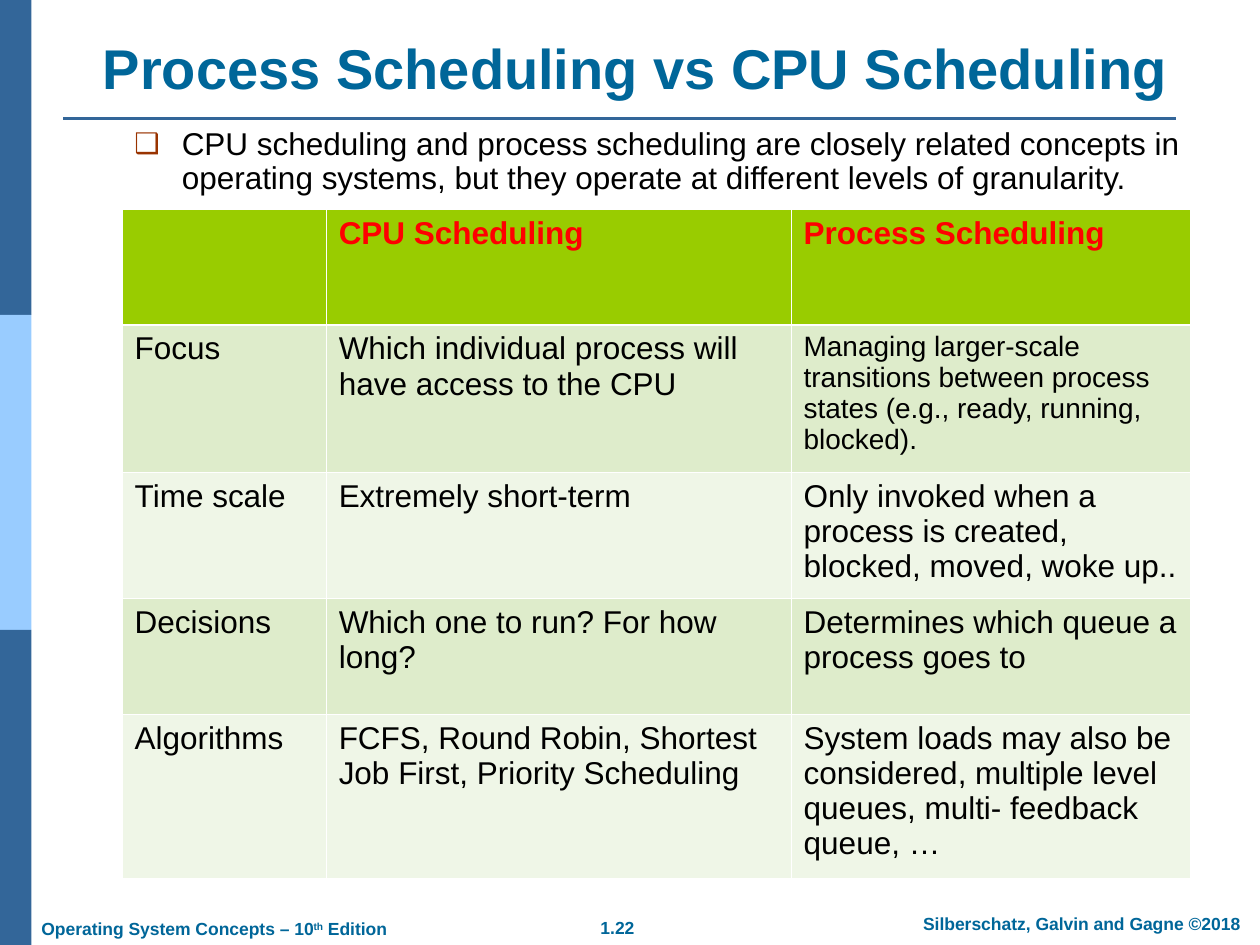
from dataclasses import dataclass

from lxml import etree
from pptx import Presentation
from pptx import util as u
from pptx.dml.color import RGBColor
from pptx.enum import shapes, text
from pptx.oxml import ns


@dataclass(frozen=True)
class Theme:
    font: str = "Arial"
    heading: str = "006699"
    ink: str = "000000"
    bar: str = "336699"
    bar_light: str = "99CCFF"
    bullet: str = "993300"
    header_fill: str = "99CC00"
    header_ink: str = "FF0000"
    bands: tuple = ("DEECCB", "EFF6E7")
    border: str = "FFFFFF"
    title_size: int = 32
    body_size: int = 18
    small_size: int = 16
    footer_size: int = 10
    thin: float = 0.45
    thick: float = 1.47


def rgb(value):
    return RGBColor.from_string(value)


def add_xml(parent, tag, **attributes):
    return etree.SubElement(parent, ns.qn(tag), {k: str(v) for k, v in attributes.items()})


def write(frame, *parts, font, size, color, bold=False, align=None, before=None, spacing=None):
    """Fill the first paragraph, one run for each part."""
    paragraph = frame.paragraphs[0]
    paragraph.alignment = align
    if before is not None:
        paragraph.space_before = u.Pt(before)
    if spacing is not None:
        paragraph.line_spacing = spacing
    for part in parts:
        run = paragraph.add_run()
        run.text = part
        run.font.name, run.font.size, run.font.bold = font, u.Pt(size), bold
        run.font.color.rgb = rgb(color)


class SlideBuilder:
    def __init__(self, slide, theme):
        self.slide, self.theme = slide, theme

    def title(self, words, *box):
        heading = self.slide.shapes.title
        heading.left, heading.top, heading.width, heading.height = map(u.Pt, box)
        frame = heading.text_frame
        frame.auto_size = text.MSO_AUTO_SIZE.NONE
        frame.vertical_anchor = text.MSO_ANCHOR.BOTTOM
        write(frame, words, font=self.theme.font, size=self.theme.title_size,
              color=self.theme.heading, bold=True, align=text.PP_ALIGN.CENTER)

    def bar(self, color, *box):
        bar = self.slide.shapes.add_shape(shapes.MSO_SHAPE.RECTANGLE, *map(u.Pt, box))
        bar.shadow.inherit = False
        bar.fill.solid()
        bar.fill.fore_color.rgb = rgb(color)
        bar.line.fill.background()

    def rule(self, left, right, y):
        rule = self.slide.shapes.add_connector(
            shapes.MSO_CONNECTOR.STRAIGHT, *map(u.Pt, (left, y, right, y)))
        rule.line.color.rgb = rgb(self.theme.bar)
        rule.line.width = u.Pt(1.5)
        add_xml(rule.element.spPr, "a:effectLst")

    def text_box(self, box, *parts, wrap=True, **style):
        shape = self.slide.shapes.add_textbox(*map(u.Pt, box))
        shape.text_frame.word_wrap = wrap
        write(shape.text_frame, *parts, font=self.theme.font, **style)
        return shape

    def footer(self, box, *parts, wrap=False, align=None):
        """Put a footer; its second part, if any, is superscript."""
        shape = self.text_box(box, *parts, wrap=wrap, align=align, before=6.2, bold=True,
                              size=self.theme.footer_size, color=self.theme.heading)
        shape.text_frame.auto_size = text.MSO_AUTO_SIZE.SHAPE_TO_FIT_TEXT
        for properties in list(shape.element.iter(ns.qn("a:rPr")))[1:2]:
            properties.set("baseline", "30000")

    def bullet(self, words, *box):
        shape = self.text_box(box, words, size=self.theme.body_size, color=self.theme.ink,
                              before=7.9, spacing=0.9)
        indent = u.Pt(27)
        properties = next(shape.element.iter(ns.qn("a:pPr")))
        properties.set("marL", str(indent))
        properties.set("indent", str(-indent))
        add_xml(add_xml(properties, "a:buClr"), "a:srgbClr", val=self.theme.bullet)
        add_xml(properties, "a:buSzPct", val=90000)
        add_xml(properties, "a:buFont", typeface=self.theme.font)
        add_xml(properties, "a:buChar", char="❑")

    def borders(self, cell_properties, row):
        """Draw white borders, thick between the header and the first row."""
        theme = self.theme
        widths = {"L": theme.thin, "R": theme.thin,
                  "T": theme.thick if row == 1 else theme.thin,
                  "B": theme.thick if row == 0 else theme.thin}
        for place, (side, width) in enumerate(widths.items()):
            line = add_xml(cell_properties, f"a:ln{side}", w=u.Pt(width))
            add_xml(add_xml(line, "a:solidFill"), "a:srgbClr", val=theme.border)
            cell_properties.insert(place, line)

    def table(self, rows, left, top, widths, heights, small_cells):
        theme = self.theme
        frame = self.slide.shapes.add_table(
            len(heights), len(widths),
            *map(u.Pt, (left, top, sum(widths), sum(heights))))
        table = frame.table
        table.horz_banding = False
        for column, width in zip(table.columns, widths):
            column.width = u.Pt(width)
        for row, height in zip(table.rows, heights):
            row.height = u.Pt(height)
        for r, row in enumerate(rows):
            header = r == 0
            for c, words in enumerate(row):
                cell = table.cell(r, c)
                cell.fill.solid()
                cell.fill.fore_color.rgb = rgb(theme.header_fill if header else theme.bands[(r - 1) % 2])
                if words:
                    write(cell.text_frame, words, font=theme.font, bold=header,
                          size=theme.small_size if (r, c) in small_cells else theme.body_size,
                          color=theme.header_ink if header else theme.ink)
        for index, properties in enumerate(frame.element.iter(ns.qn("a:tcPr"))):
            self.borders(properties, index // len(widths))


COMPARISON = [
    ("", "CPU Scheduling", "Process Scheduling"),
    ("Focus", "Which individual process will have access to the CPU",
     "Managing larger-scale transitions between process states (e.g., ready, running, blocked)."),
    ("Time scale", "Extremely short-term",
     "Only invoked when a process is created, blocked, moved, woke up.."),
    ("Decisions", "Which one to run? For how long?", "Determines which queue a process goes to"),
    ("Algorithms", "FCFS, Round Robin, Shortest Job First, Priority Scheduling",
     "System loads may also be considered, multiple level queues, multi- feedback queue, …"),
]


def main():
    deck = Presentation()
    deck.slide_width, deck.slide_height = u.Pt(720), u.Pt(540)
    theme = Theme()
    page = SlideBuilder(deck.slides.add_slide(deck.slide_layouts[5]), theme)

    for i, color in enumerate((theme.bar, theme.bar_light, theme.bar)):
        page.bar(color, 0, i * 180, 18, 180)
    page.rule(36, 672, 67.7)
    center = text.PP_ALIGN.CENTER
    page.footer((317.5, 520.6, 70.6, 19.4), "1.22", align=center)
    page.footer((511.2, 518.4, 213.8, 19.4), "Silberschatz, Galvin and Gagne ©2018",
                wrap=True, align=center)
    page.footer((16.6, 521.3, 211.7, 19.4), "Operating System Concepts – 10", "th", " Edition")

    page.title("Process Scheduling vs CPU Scheduling", 42.5, 15.8, 641.5, 45.4)
    page.bullet("CPU scheduling and process scheduling are closely related concepts in operating "
                "systems, but they operate at different levels of granularity.",
                69.8, 69.8, 619.2, 396)
    page.table(COMPARISON, 69.8, 119.5, widths=(116.6, 265.7, 228.2),
               heights=(66.2, 84.2, 72, 66.2, 93.6), small_cells={(1, 2)})
    deck.save("out.pptx")


if __name__ == "__main__":
    main()
